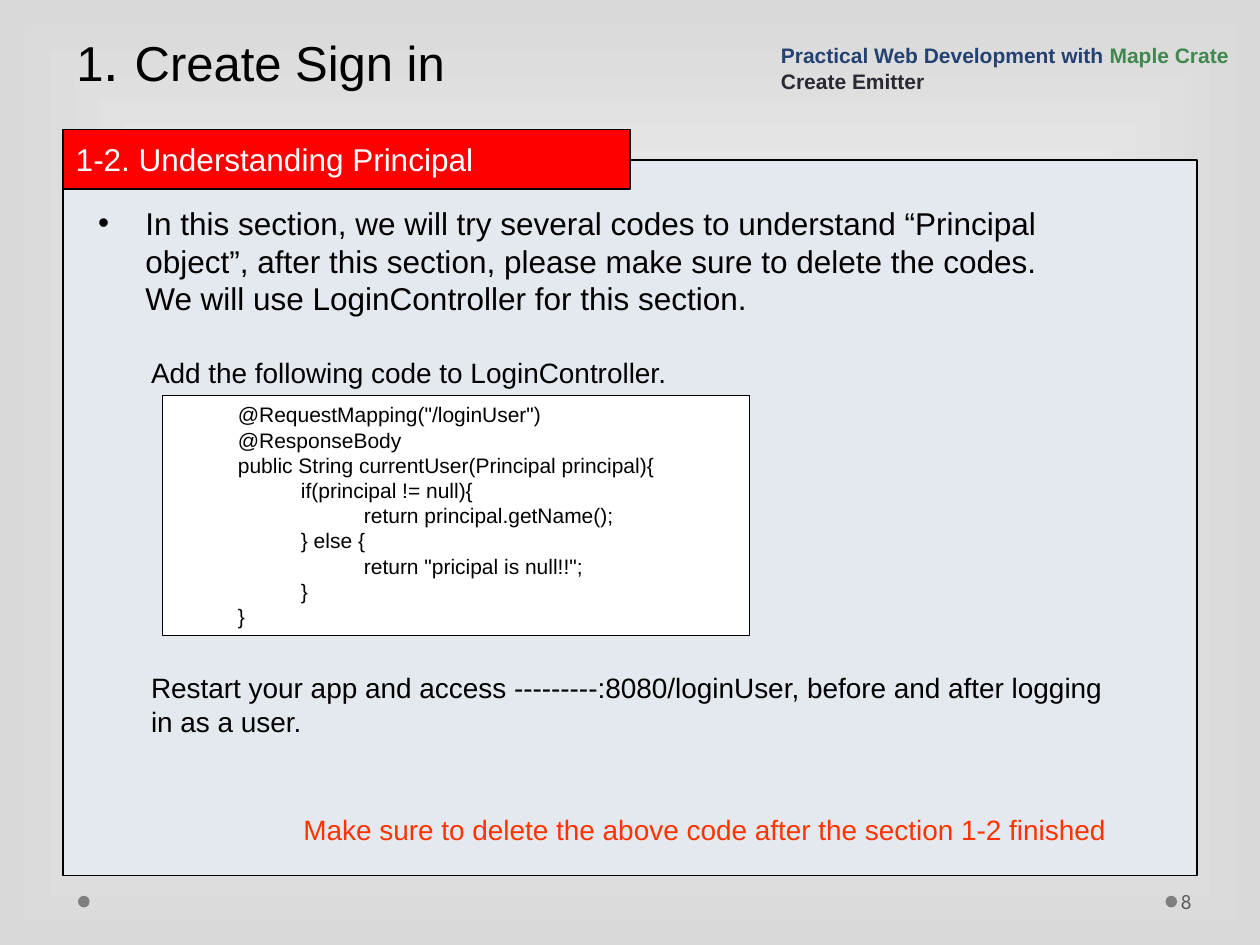
from lxml import etree
from pptx import Presentation
from pptx.dml.color import RGBColor
from pptx.enum.shapes import MSO_SHAPE
from pptx.enum.text import MSO_ANCHOR, PP_ALIGN
from pptx.oxml.ns import qn
from pptx.util import Pt

RECT, OVAL = MSO_SHAPE.RECTANGLE, MSO_SHAPE.OVAL
TOP, MID, LOW = MSO_ANCHOR.TOP, MSO_ANCHOR.MIDDLE, MSO_ANCHOR.BOTTOM
LEFT = PP_ALIGN.LEFT

HEX = {
    "black": "000000", "white": "FFFFFF", "edge": "D9D9D9", "panel": "E4E9EF",
    "red": "FF0000", "warn": "FF3300", "dot": "7F7F7F", "page": "595959",
    "navy": "234271", "green": "40884F", "ink": "292934",
}
CODE = [
    (1, '@RequestMapping("/loginUser")'),
    (1, "@ResponseBody"),
    (1, "public String currentUser(Principal principal){"),
    (2, "if(principal != null){"),
    (3, "return principal.getName();"),
    (2, "} else {"),
    (3, 'return "pricipal is null!!";'),
    (2, "}"),
    (1, "}"),
]


def color(name):
    return RGBColor.from_string(HEX[name])


def apply(item, **vals):
    for key, val in vals.items():
        setattr(item, key, val)


def place(shape, box):
    keys = ("left", "top", "width", "height")
    apply(shape, **{key: Pt(val) for key, val in zip(keys, box)})


def frame(shape, anchor=TOP, inset=7.2):
    text = shape.text_frame
    apply(text, word_wrap=True, vertical_anchor=anchor, margin_left=Pt(inset),
          margin_right=Pt(7.2), margin_top=Pt(3.6), margin_bottom=Pt(3.6))
    return text


def add_run(para, words, size, tint="black", bold=False, face="Arial"):
    run = para.add_run()
    run.text = words
    apply(run.font, size=Pt(size), bold=bold, name=face)
    run.font.color.rgb = color(tint)


def indent(para, left, first=0):
    props = para._p.get_or_add_pPr()
    props.set("marL", str(Pt(left)))
    props.set("indent", str(Pt(first)))
    return props


def add_text(slide, box, words, size, tint="black", face="Arial", **style):
    text = frame(slide.shapes.add_textbox(*map(Pt, box)), **style)
    add_run(text.paragraphs[0], words, size, tint, face=face)
    return text.paragraphs[0]


def add_block(slide, box, fill, kind=RECT, line=True):
    shape = slide.shapes.add_shape(kind, *map(Pt, box))
    shape.shadow.inherit = False
    shape.fill.solid()
    shape.fill.fore_color.rgb = color(fill)
    if line:
        shape.line.color.rgb = color("black")
        shape.line.width = Pt(0.75)
    else:
        shape.line.fill.background()
    return shape


def paint_back(slide):
    fill = slide.background.fill
    fill.gradient()
    for stop, tint in zip(fill.gradient_stops, ("white", "edge")):
        stop.color.rgb = color(tint)
    grad = slide.background._cSld.find(".//" + qn("a:gradFill"))
    grad.remove(grad.find(qn("a:lin")))
    route = etree.SubElement(grad, qn("a:path"), path="rect")
    etree.SubElement(route, qn("a:fillToRect"),
                     dict.fromkeys("ltrb", "50000"))


def add_head(slide, box):
    x, y, w, h = box
    title = slide.shapes.title
    place(title, (x, y, 648, h))
    para = frame(title, LOW).paragraphs[0]
    apply(para, alignment=LEFT, line_spacing=Pt(57.9))
    indent(para, 81, -80.6)
    for words, size in (("1", 28), (". ", 32), ("Create Sign in", 28)):
        add_run(para, words, size)

    course = slide.shapes.add_textbox(Pt(x + w - 280.8), Pt(y + 17.3),
                                      Pt(280.8), Pt(39.6))
    text = frame(course, LOW)
    para = text.paragraphs[0]
    add_run(para, "Practical Web Development with ", 12, "navy", True)
    add_run(para, "Maple Crate", 12, "green", True)
    add_run(text.add_paragraph(), "Create Emitter", 12, "ink", True)


def add_code(slide, box):
    text = frame(add_block(slide, box, "white"))
    for i, (depth, words) in enumerate(CODE):
        para = text.add_paragraph() if i else text.paragraphs[0]
        para.alignment = LEFT
        indent(para, 36 * depth)
        add_run(para, words, 12)


def add_body(slide, box):
    x, y, w, h = box
    add_block(slide, box, "panel")
    tag = add_block(slide, (x, y - 17.2, w / 2, 33.8), "red")
    para = frame(tag).paragraphs[0]
    apply(para, alignment=LEFT, line_spacing=1.1, space_before=Pt(4.5))
    indent(para, 27, -26.8)
    add_run(para, "1-2. Understanding Principal", 18, "white")

    lead = add_text(
        slide, (x + 13, y + 21.6, 557.3, 72),
        "In this section, we will try several codes to understand “Principal "
        "object”, after this section, please make sure to delete the codes. "
        "We will use LoginController for this section.", 18)
    props = indent(lead, 27, -27)
    tint = etree.SubElement(props, qn("a:buClr"))
    etree.SubElement(tint, qn("a:srgbClr"), val=HEX["black"])
    etree.SubElement(props, qn("a:buFont"), typeface="Arial")
    etree.SubElement(props, qn("a:buChar"), char="•")

    add_code(slide, (x + 56.9, y + 134.8, 335.5, 136.8))
    add_text(slide, (x + 43.2, y + 108.2, 560.9, 26.6),
             "Add the following code to LoginController.", 16)
    add_text(slide, (x + 43.2, y + 288.2, 560.9, 46),
             "Restart your app and access ---------:8080/loginUser, "
             "before and after logging in as a user.", 16)
    add_text(slide, (x + 130.3, y + 369.4, 506.2, 26.6),
             "Make sure to delete the above code after the section 1-2 "
             "finished", 16, "warn")


def add_foot(slide, box):
    x, y, w, h = box
    for left in (x, x + 621.4):
        add_block(slide, (left, y + 11.5, 6.6, 6.6), "dot", OVAL, False)
    add_text(slide, (x + w - 43.9, y, 43.9, h), "8", 12, "page",
             "League Spartan", anchor=MID, inset=2.2)


def main():
    deck = Presentation()
    apply(deck, slide_width=Pt(720), slide_height=Pt(540))
    slide = deck.slides.add_slide(deck.slide_layouts[5])
    paint_back(slide)
    add_foot(slide, (44.6, 500.4, 671.8, 28.8))
    add_head(slide, (36, 0, 684, 56.9))
    add_body(slide, (36, 91.4, 648, 409))
    deck.save("out.pptx")


if __name__ == "__main__":
    main()
